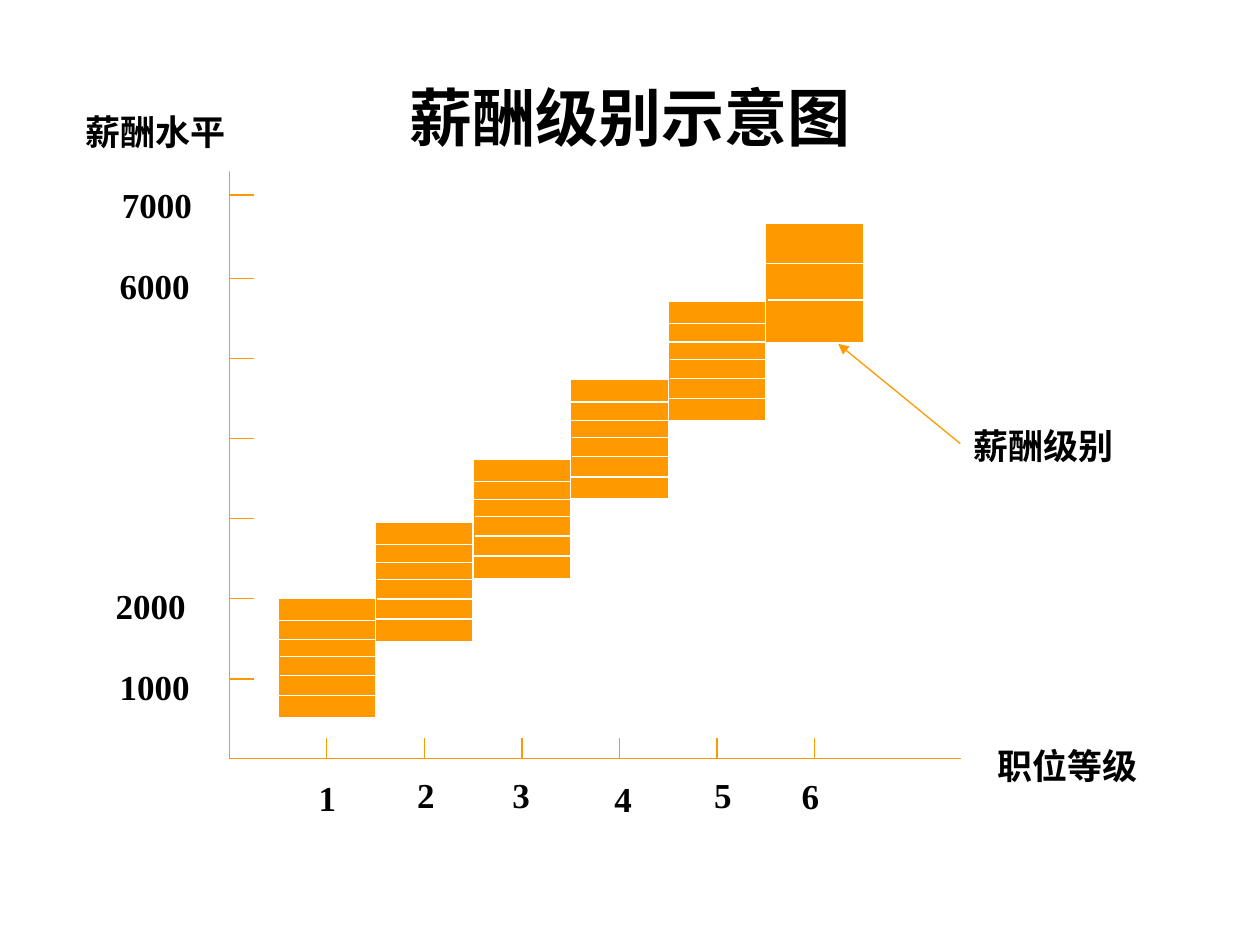
from pptx import Presentation
from pptx.dml.color import RGBColor
from pptx.enum.shapes import MSO_CONNECTOR, MSO_SHAPE
from pptx.enum.text import MSO_ANCHOR, PP_ALIGN
from pptx.oxml.ns import qn
from pptx.util import Pt
from lxml import etree

STRAIGHT, RECT = MSO_CONNECTOR.STRAIGHT, MSO_SHAPE.RECTANGLE
TOP, MIDDLE = MSO_ANCHOR.TOP, MSO_ANCHOR.MIDDLE
CENTER, JUSTIFY = PP_ALIGN.CENTER, PP_ALIGN.JUSTIFY

THEME = {
    "font": "Times New Roman", "title": 36, "label": 20, "rule": 0.75,
    "ink": RGBColor(0, 0, 0), "paper": RGBColor(255, 255, 255),
    "accent": RGBColor(0xFF, 0x99, 0x00),
}

TITLE = ("薪酬级别示意图", 36, 21.6, 648, 90)
LABELS = [
    ("薪酬水平", 41.75, 59.75, 120.25, 38.25),
    ("7000", 62.5, 101.5, 65, 28),
    ("6000", 61.25, 147.5, 65, 29),
    ("2000", 59, 330.5, 70, 34.5),
    ("1000", 61.25, 376.5, 65, 34),
    ("1", 175, 440, 42, 29.5),
    ("2", 231.25, 438.5, 44, 31),
    ("3", 285.75, 438.5, 40, 29.5),
    ("4", 344, 440.5, 40, 29.5),
    ("5", 401, 438.5, 42, 28),
    ("6", 451, 439.25, 45, 34.5),
    ("职位等级", 563, 422, 97.25, 34.5),
    ("薪酬级别", 549.25, 239, 111.5, 45.5),
]

ORIGIN_X, ORIGIN_Y, AXIS_TOP, AXIS_RIGHT = 131, 433.5, 85, 549
GRADE_STEP, PAY_STEP, X_TICK, Y_TICK = 55.75, 45.8, 11.5, 14
FIRST_PAY, TOP_PAY = 388, 111.5
BAR_H = 68.2
BAR_TOPS = [342, 298.25, 262.25, 217, 172.25, 127.5]
DIVIDERS = [(12.75, 0), (23.25, 0), (33, 1), (44, 1), (55.5, 0)]
TOP_DIVIDERS = [(23.25, 0), (44, 1)]
ARROW = (548.75, 253.5, 479, 196.5)


def add_line(shapes, x1, y1, x2, y2, color, arrow=False):
    c = shapes.add_connector(STRAIGHT, Pt(x1), Pt(y1), Pt(x2), Pt(y2))
    c.line.color.rgb = color
    c.line.width = Pt(THEME["rule"])
    if arrow:
        etree.SubElement(c.line._get_or_add_ln(), qn("a:tailEnd"), type="triangle")
    etree.SubElement(c._element.spPr, qn("a:effectLst"))


def add_rect(shapes, x, y, w, h, fill, line=None):
    sp = shapes.add_shape(RECT, Pt(x), Pt(y), Pt(w), Pt(h))
    sp.shadow.inherit = False
    sp.fill.solid()
    sp.fill.fore_color.rgb = fill
    if line is None:
        sp.line.fill.background()
    else:
        sp.line.color.rgb = line
        sp.line.width = Pt(THEME["rule"])
    return sp


def write(sp, text, size, align, anchor):
    tf = sp.text_frame
    tf.word_wrap = True
    tf.vertical_anchor = anchor
    p = tf.paragraphs[0]
    p.alignment = align
    r = p.add_run()
    r.text = text
    r.font.name = THEME["font"]
    r.font.size = Pt(size)
    r.font.bold = True
    r.font.color.rgb = THEME["ink"]


def add_axes(shapes):
    accent = THEME["accent"]
    add_line(shapes, ORIGIN_X, AXIS_TOP, ORIGIN_X, ORIGIN_Y, accent)
    add_line(shapes, ORIGIN_X, ORIGIN_Y, AXIS_RIGHT, ORIGIN_Y, accent)
    for i in range(len(BAR_TOPS)):
        x = ORIGIN_X + GRADE_STEP * (i + 1)
        add_line(shapes, x, ORIGIN_Y - X_TICK, x, ORIGIN_Y, accent)
    for y in [FIRST_PAY - PAY_STEP * i for i in range(6)] + [TOP_PAY]:
        add_line(shapes, ORIGIN_X, y, ORIGIN_X + Y_TICK, y, accent)


def add_bar(shapes, x, top, dividers):
    bar = shapes.add_group_shape().shapes
    add_rect(bar, x, top, GRADE_STEP, BAR_H, THEME["accent"], THEME["paper"])
    for dy, dx in dividers:
        add_line(bar, x + dx, top + dy, x + dx + GRADE_STEP, top + dy, THEME["paper"])


def main():
    """Build the pay grade diagram slide."""
    prs = Presentation()
    prs.slide_width, prs.slide_height = Pt(720), Pt(540)
    s = prs.slides.add_slide(prs.slide_layouts[6])
    text, *box = TITLE
    sp = s.shapes.add_textbox(*map(Pt, box))
    write(sp, text, THEME["title"], CENTER, MIDDLE)
    add_axes(s.shapes)
    for text, *box in LABELS:
        sp = add_rect(s.shapes, *box, THEME["paper"])
        write(sp, text, THEME["label"], JUSTIFY, TOP)
    for i, top in enumerate(BAR_TOPS):
        dividers = TOP_DIVIDERS if i == len(BAR_TOPS) - 1 else DIVIDERS
        add_bar(s.shapes, ORIGIN_X + GRADE_STEP * (i + 0.5), top, dividers)
    add_line(s.shapes, *ARROW, THEME["accent"], arrow=True)
    prs.save("out.pptx")


if __name__ == "__main__":
    main()
